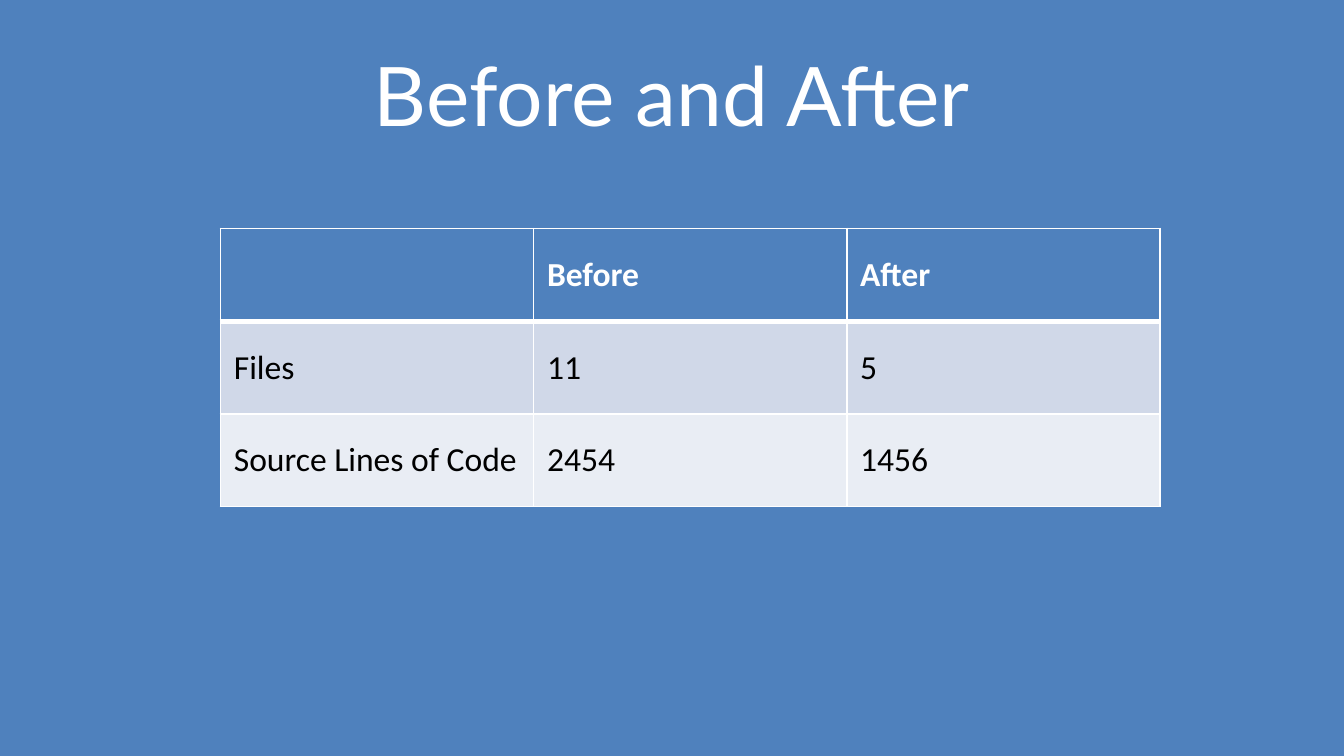
"""Build a slide with a table comparing a code base before and after."""
import dataclasses

import lxml.etree
import pptx
import pptx.dml.color
import pptx.enum.text
import pptx.oxml.ns
import pptx.util

Inches = pptx.util.Inches
MIDDLE = pptx.enum.text.MSO_ANCHOR.MIDDLE


@dataclasses.dataclass(frozen=True)
class Theme:
    background: str = "4F81BD"
    header_fill: str = "4F81BD"
    band_fills: tuple = ("D0D8E8", "E9EDF4")
    light: str = "FFFFFF"
    dark: str = "000000"
    title_font: str = "Lato"
    table_font: str = "Calibri"
    title_size: int = 44
    table_size: int = 18
    border: int = 1
    header_border: int = 3


def rgb(value):
    return pptx.dml.color.RGBColor.from_string(value)


class SlideBuilder:
    def __init__(self, slide, theme):
        self.slide = slide
        self.theme = theme
        fill = slide.background.fill
        fill.solid()
        fill.fore_color.rgb = rgb(theme.background)

    def format_font(self, font, color, **values):
        for name, value in values.items():
            setattr(font, name, value)
        font.color.rgb = rgb(color)

    def add_title(self, text, left, top, width, height):
        title = self.slide.shapes.title
        box = {"left": left, "top": top, "width": width, "height": height}
        for name, value in box.items():
            setattr(title, name, Inches(value))
        title.text_frame.text = text
        title.text_frame.vertical_anchor = MIDDLE
        paragraph = title.text_frame.paragraphs[0]
        paragraph.alignment = pptx.enum.text.PP_ALIGN.CENTER
        self.format_font(paragraph.runs[0].font, self.theme.light,
                         name=self.theme.title_font,
                         size=pptx.util.Pt(self.theme.title_size))

    def add_borders(self, cell, widths):
        properties = cell._tc.get_or_add_tcPr()
        for side, width in widths.items():
            line = lxml.etree.SubElement(
                properties, pptx.oxml.ns.qn(f"a:ln{side}"),
                w=str(pptx.util.Pt(width)))
            fill = lxml.etree.SubElement(line, pptx.oxml.ns.qn("a:solidFill"))
            lxml.etree.SubElement(fill, pptx.oxml.ns.qn("a:srgbClr"),
                                  val=self.theme.light)

    def format_cell(self, cell, text, row_index):
        theme = self.theme
        is_header = row_index == 0
        widths = dict.fromkeys("LRTB", theme.border)
        if is_header:
            widths["B"] = theme.header_border
        elif row_index == 1:
            widths["T"] = theme.header_border
        self.add_borders(cell, widths)
        bands = theme.band_fills
        cell.fill.solid()
        cell.fill.fore_color.rgb = rgb(
            theme.header_fill if is_header
            else bands[(row_index - 1) % len(bands)])
        cell.vertical_anchor = MIDDLE
        cell.text = text
        paragraph = cell.text_frame.paragraphs[0]
        for item in paragraph.runs or [paragraph]:
            self.format_font(item.font, theme.light if is_header else theme.dark,
                             name=theme.table_font, bold=is_header,
                             size=pptx.util.Pt(theme.table_size))

    def add_table(self, rows, left, top, column_width, row_height):
        column_count = len(rows[0])
        table = self.slide.shapes.add_table(
            len(rows), column_count, Inches(left), Inches(top),
            Inches(column_width * column_count),
            Inches(row_height * len(rows))).table
        for row_index, row in enumerate(rows):
            for column_index, text in enumerate(row):
                self.format_cell(table.cell(row_index, column_index),
                                 text, row_index)


def main():
    presentation = pptx.Presentation()
    presentation.slide_width = Inches(10)
    presentation.slide_height = Inches(10 * 9 / 16)
    slide = presentation.slides.add_slide(presentation.slide_layouts[5])
    builder = SlideBuilder(slide, Theme())
    builder.add_title("Before and After", 0.5, 0.23, 9, 0.94)
    builder.add_table([
        ["", "Before", "After"],
        ["Files", "11", "5"],
        ["Source Lines of Code", "2454", "1456"],
    ], left=1.64, top=1.7, column_width=2.33, row_height=0.69)
    presentation.save("out.pptx")


if __name__ == "__main__":
    main()
